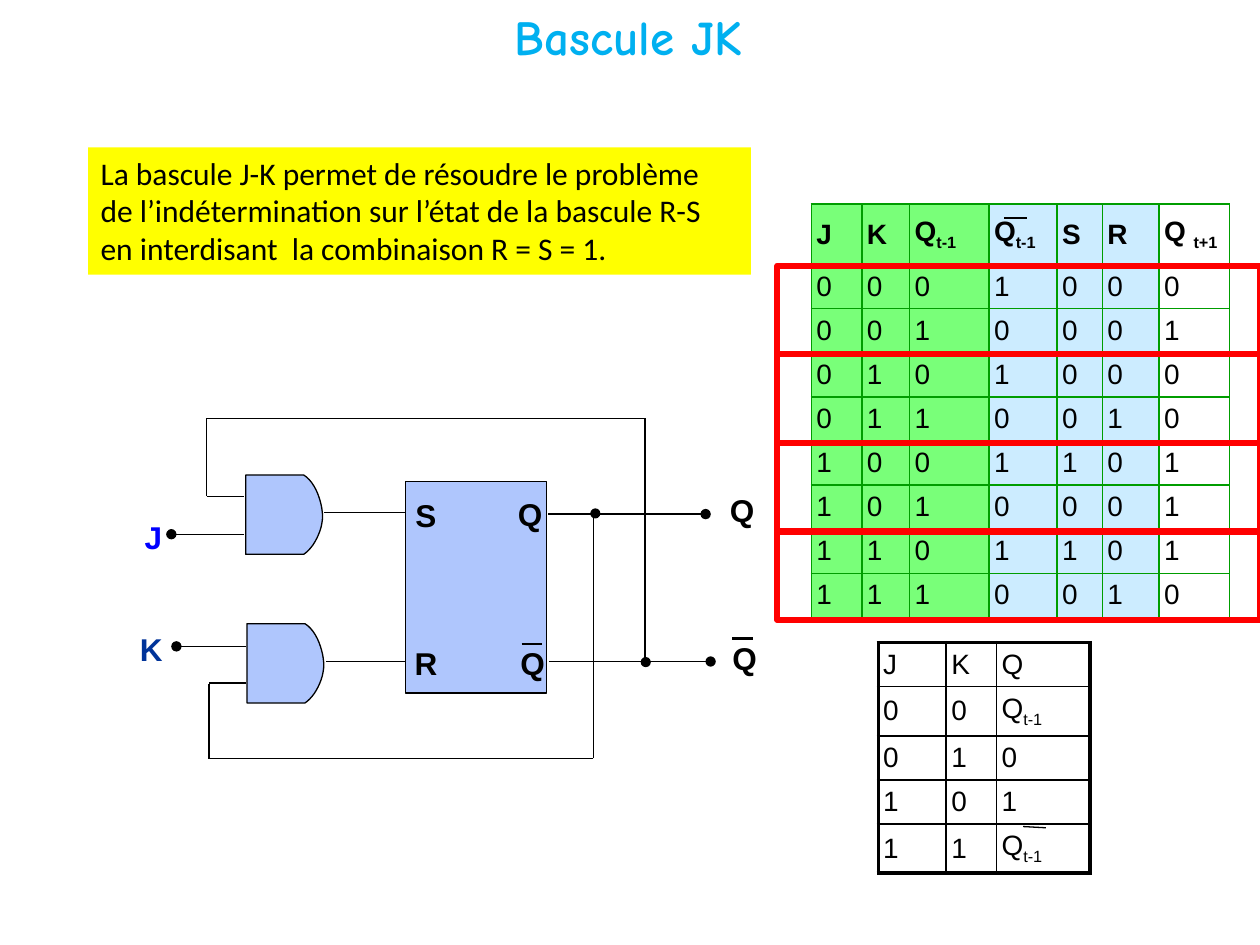
import pptx
import pptx.util
import pptx.dml.color
import pptx.enum.shapes
import pptx.enum.text
import pptx.oxml.ns
import lxml.etree

Inches = pptx.util.Inches
Pt = pptx.util.Pt
qn = pptx.oxml.ns.qn
SHAPE = pptx.enum.shapes.MSO_SHAPE
ALIGN = pptx.enum.text.PP_ALIGN
ANCHOR = pptx.enum.text.MSO_ANCHOR

COLORS = {
    "black": "000000", "yellow": "FFFF00", "gate": "618FFD", "red": "FF0000",
    "title": "00B0F0", "j": "0000FF", "k": "003399",
    "input": "79FF79", "derived": "CCECFF", "grid": "009D00",
}


def rgb(name):
    return pptx.dml.color.RGBColor.from_string(COLORS[name])


def add_run(paragraph, text, size, color="black", bold=False, font="Arial", subscript=False):
    run = paragraph.add_run()
    run.text = text
    run.font.size = Pt(size)
    run.font.name = font
    run.font.bold = bold
    run.font.color.rgb = rgb(color)
    if subscript:
        run._r.get_or_add_rPr().set("baseline", "-25000")


def style_shape(shape, fill=None, line=None, width=0.75, alpha=None):
    shape.shadow.inherit = False
    if fill:
        shape.fill.solid()
        shape.fill.fore_color.rgb = rgb(fill)
        if alpha:
            color = shape._element.spPr.find(qn("a:solidFill"))[0]
            lxml.etree.SubElement(color, qn("a:alpha")).set("val", str(alpha * 1000))
    else:
        shape.fill.background()
    if line:
        shape.line.color.rgb = rgb(line)
        shape.line.width = Pt(width)
    else:
        shape.line.fill.background()


def add_box(slide, kind, box, **style):
    shape = slide.shapes.add_shape(kind, *map(Inches, box))
    style_shape(shape, **style)
    return shape


def add_label(slide, text, box, size=18, color="black", font="Arial", wrap=False, inset=True):
    frame = slide.shapes.add_textbox(*map(Inches, box)).text_frame
    frame.word_wrap = wrap
    frame.auto_size = pptx.enum.text.MSO_AUTO_SIZE.SHAPE_TO_FIT_TEXT
    if not inset:
        frame.margin_left = frame.margin_right = frame.margin_top = frame.margin_bottom = 0
        frame.vertical_anchor = ANCHOR.MIDDLE
    frame.paragraphs[0].alignment = ALIGN.CENTER
    add_run(frame.paragraphs[0], text, size, color, True, font)


def add_wire(slide, start, end, width=0.75, dot=False):
    wire = slide.shapes.add_connector(
        pptx.enum.shapes.MSO_CONNECTOR.STRAIGHT, *map(Inches, start + end))
    wire.line.color.rgb = rgb("black")
    wire.line.width = Pt(width)
    if dot:
        lxml.etree.SubElement(wire.line._get_or_add_ln(), qn("a:headEnd")).set("type", "oval")
    lxml.etree.SubElement(wire._element.spPr, qn("a:effectLst"))


def curve(p0, p1, p2, p3, steps=12):
    for t in (i / steps for i in range(1, steps + 1)):
        u = 1 - t
        yield tuple(u**3 * a + 3 * u * u * t * b + 3 * u * t * t * c + t**3 * d
                    for a, b, c, d in zip(p0, p1, p2, p3))


def add_and_gate(slide, left, top):
    shoulder, tip, foot = (0.46, 0), (0.61, 0.33), (0.46, 0.63)
    outline = [shoulder,
               *curve(shoulder, (0.56, 0.06), (0.61, 0.23), tip),
               *curve(tip, (0.61, 0.44), (0.54, 0.58), foot),
               (0, 0.63)]
    builder = slide.shapes.build_freeform(Inches(left), Inches(top))
    builder.add_line_segments([(Inches(left + x), Inches(top + y)) for x, y in outline])
    style_shape(builder.convert_to_shape(), "gate", "black", alpha=50)


def set_border(cell, side, color, width):
    line = lxml.etree.SubElement(cell._tc.get_or_add_tcPr(), qn("a:ln" + side), w=str(Pt(width)))
    fill = lxml.etree.SubElement(line, qn("a:solidFill"))
    lxml.etree.SubElement(fill, qn("a:srgbClr"), val=COLORS[color])


def add_truth_table(slide, left, top, widths, heights, rows, fills, grid, frame_width, bold_header):
    frame = slide.shapes.add_table(len(rows), len(widths), Inches(left), Inches(top),
                                   Inches(sum(widths)), Inches(sum(heights)))
    table = frame.table
    table.first_row = table.horz_banding = False
    for column, width in zip(table.columns, widths):
        column.width = Inches(width)
    for row, height in zip(table.rows, heights):
        row.height = Inches(height)
    for r, values in enumerate(rows):
        for c, value in enumerate(values):
            cell = table.cell(r, c)
            cell.margin_left = cell.margin_right = Inches(0.04)
            cell.margin_top = cell.margin_bottom = Inches(0.04)
            cell.vertical_anchor = ANCHOR.MIDDLE
            outer = {"L": c == 0, "R": c == len(widths) - 1, "T": r == 0, "B": r == len(rows) - 1}
            for side, is_outer in outer.items():
                set_border(cell, side, grid, frame_width if is_outer else 1)
            if fills[c]:
                cell.fill.solid()
                cell.fill.fore_color.rgb = rgb(fills[c])
            else:
                cell.fill.background()
            base, _, subscript = value.partition("_")
            bold = bold_header and r == 0
            paragraph = cell.text_frame.paragraphs[0]
            add_run(paragraph, base, 16, bold=bold)
            if subscript:
                add_run(paragraph, subscript, 16, bold=bold, subscript=True)


def add_statement(slide):
    frame = add_box(slide, SHAPE.RECTANGLE, (0.7, 1.17, 5.26, 1.01), fill="yellow").text_frame
    frame.word_wrap = True
    frame.vertical_anchor = ANCHOR.TOP
    frame.paragraphs[0].alignment = ALIGN.LEFT
    add_run(frame.paragraphs[0],
            "La bascule J-K permet de résoudre le problème de l’indétermination sur l’état "
            "de la bascule R-S en interdisant  la combinaison R = S = 1.", 18, font="Calibri")


def add_circuit(slide):
    add_box(slide, SHAPE.RECTANGLE, (3.22, 3.82, 1.12, 1.68), fill="gate", line="black", alpha=50)
    for pin, left, top in (("R", 3.29, 5.11), ("Q", 4.11, 3.93), ("Q", 4.13, 5.11), ("S", 3.29, 3.94)):
        add_label(slide, pin, (left, top, 0.18, 0.3), wrap=True, inset=False)
    add_and_gate(slide, 1.95, 3.77)
    add_and_gate(slide, 1.96, 4.95)

    for start, end in (((5.64, 5.25), (4.36, 5.25)), ((5.6, 4.08), (4.35, 4.08)),
                       ((1.36, 4.24), (1.94, 4.24)), ((1.4, 5.13), (1.95, 5.13))):
        add_wire(slide, start, end, dot=True)
    for start, end in (((3.22, 4.07), (2.86, 4.07)), ((2.57, 4.07), (2.87, 4.07)),
                       ((3.22, 5.25), (2.86, 5.25)), ((2.59, 5.25), (2.88, 5.25)),
                       ((1.64, 3.94), (1.94, 3.94)), ((1.66, 5.42), (1.95, 5.42)),
                       ((4.71, 4.07), (4.71, 6.02)), ((4.71, 6.02), (1.65, 6.02)),
                       ((1.66, 5.43), (1.66, 6.02)), ((5.12, 3.32), (5.12, 5.25)),
                       ((5.12, 3.32), (1.64, 3.32)), ((1.64, 3.32), (1.64, 3.94))):
        add_wire(slide, start, end)
    for left, top in ((4.69, 4.04), (5.09, 5.22)):
        add_box(slide, SHAPE.OVAL, (left, top, 0.07, 0.07), fill="black", line="black")

    add_label(slide, "J", (1.05, 4.06, 0.33, 0.4), color="j")
    add_label(slide, "K", (1.01, 4.95, 0.38, 0.4), color="k", wrap=True)
    add_label(slide, "Q", (5.69, 3.85, 0.4, 0.4))
    add_label(slide, "Q", (5.71, 5.02, 0.4, 0.4))
    add_wire(slide, (4.14, 5.11), (4.3, 5.11), 1.5)
    add_wire(slide, (5.81, 5.07), (5.98, 5.07), 1.5)


def main():
    deck = pptx.Presentation()
    deck.slide_width, deck.slide_height = Inches(10), Inches(7.5)
    slide = deck.slides.add_slide(deck.slide_layouts[6])

    add_statement(slide)
    add_circuit(slide)

    states = ["0001000", "0010001", "0101000", "0110010",
              "1001101", "1010001", "1101101", "1110010"]
    add_truth_table(slide, 6.44, 1.62, [0.4, 0.38, 0.63, 0.54, 0.36, 0.45, 0.56],
                    [0.48] + [0.35] * 8,
                    [["J", "K", "Q_t-1", "Q_t-1", "S", "R", "Q _t+1"], *states],
                    ["input"] * 3 + ["derived"] * 3 + [None], "grid", 1, True)
    add_wire(slide, (7.97, 1.73), (8.15, 1.73))

    add_truth_table(slide, 6.97, 5.1, [0.54, 0.4, 0.74], [0.35, 0.39, 0.35, 0.35, 0.39],
                    ["JKQ", ["0", "0", "Q_t-1"], "010", "101", ["1", "1", "Q_t-1"]],
                    [None] * 3, "black", 2.25, False)
    add_wire(slide, (8.12, 6.56), (8.3, 6.57))

    add_label(slide, "Bascule JK", (3.86, 0, 2.26, 0.57), 28, "title", "Comic Neue")
    for pair in range(4):
        add_box(slide, SHAPE.RECTANGLE, (6.17, 2.11 + pair * 0.7033, 3.83, 0.7), line="red", width=3.5)

    deck.save("out.pptx")


if __name__ == "__main__":
    main()
